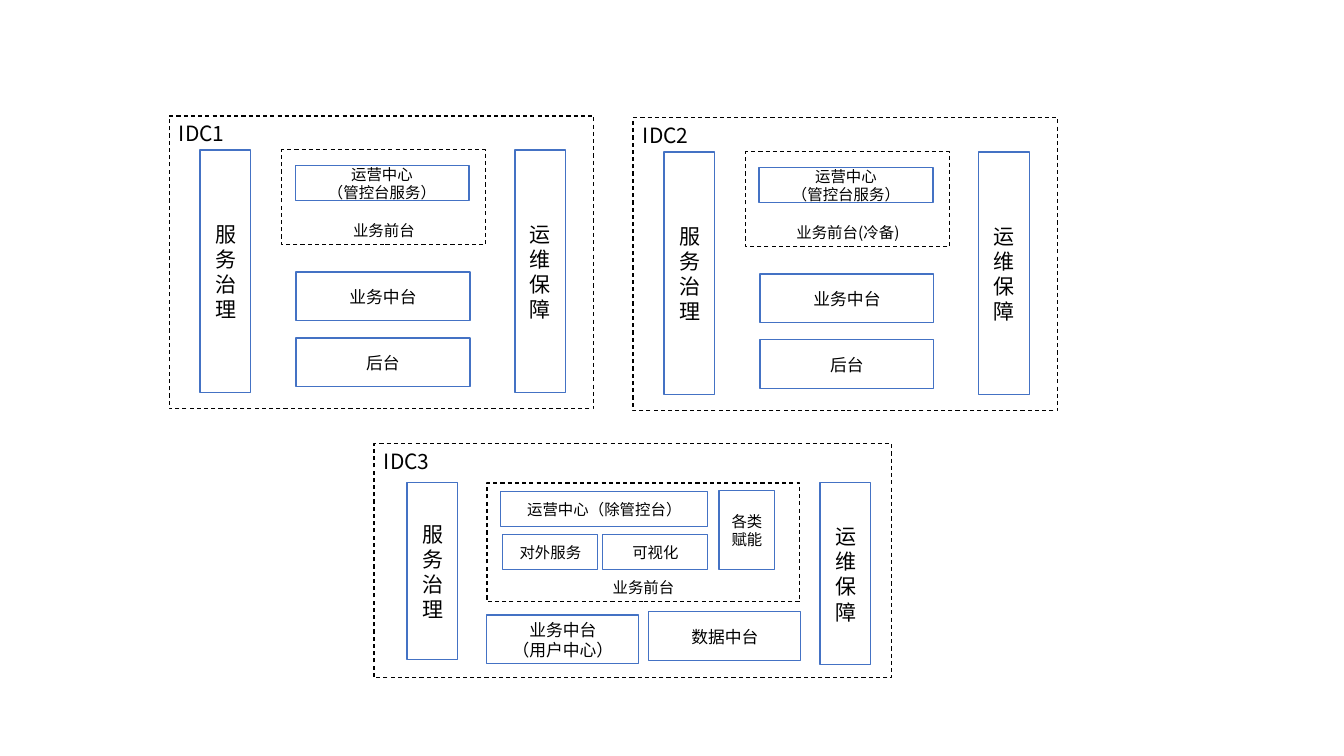
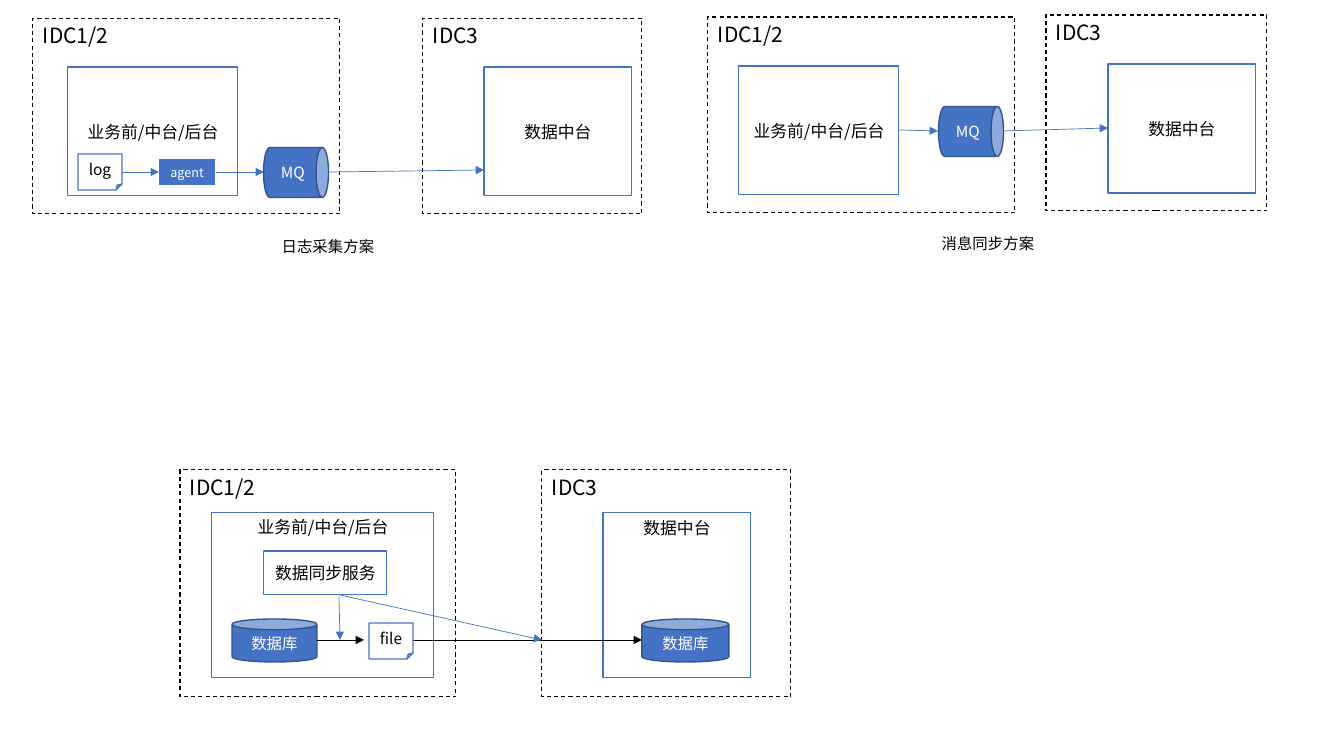
from dataclasses import dataclass

from lxml import etree
from pptx import Presentation
from pptx.dml.color import RGBColor
from pptx.enum.dml import MSO_LINE
from pptx.enum.shapes import MSO_CONNECTOR, MSO_SHAPE
from pptx.enum.text import MSO_ANCHOR, MSO_AUTO_SIZE, PP_ALIGN
from pptx.oxml.ns import qn
from pptx.util import Emu, Pt

RECT = MSO_SHAPE.RECTANGLE
CAN = MSO_SHAPE.CAN
FOLDED = MSO_SHAPE.FOLDED_CORNER
STRAIGHT = MSO_CONNECTOR.STRAIGHT
DASH = MSO_LINE.DASH
TOP, MIDDLE, BOTTOM = MSO_ANCHOR.TOP, MSO_ANCHOR.MIDDLE, MSO_ANCHOR.BOTTOM
LEFT, CENTER = PP_ALIGN.LEFT, PP_ALIGN.CENTER
FIT_TEXT = MSO_AUTO_SIZE.SHAPE_TO_FIT_TEXT

FONT = "Noto Sans CJK SC"
BLACK, WHITE, BLUE, NAVY = "000000", "FFFFFF", "4472C4", "325491"
PIXELS_PER_INCH = 100.8
FRONT_TO_BACK = "业务前/中台/后台"


@dataclass(frozen=True)
class Style:
    size: int
    ink: str = BLACK
    fill: str = ""
    line: str = BLUE
    weight: float = 0.75
    dashed: bool = False
    align: PP_ALIGN = CENTER
    anchor: MSO_ANCHOR = MIDDLE
    preset: MSO_SHAPE = RECT
    sideways: bool = False


ROOM = Style(15, line=BLACK, dashed=True, align=LEFT, anchor=TOP)
ZONE = Style(11, line=BLACK, dashed=True, anchor=BOTTOM)
PILLAR = Style(15)
PLATFORM = Style(12)
HEADED = Style(12, anchor=TOP)
SERVICE = Style(11)
DOCUMENT = Style(11, fill=WHITE, weight=1, preset=FOLDED)
DATABASE = Style(11, WHITE, BLUE, NAVY, 1, preset=CAN)
QUEUE = Style(11, WHITE, BLUE, NAVY, 1, preset=CAN, sideways=True)
AGENT = Style(9, WHITE, BLUE, "")


@dataclass(frozen=True)
class Box:
    text: str
    x: int
    y: int
    w: int
    h: int
    style: Style


@dataclass(frozen=True)
class Arrow:
    x1: int
    y1: int
    x2: int
    y2: int
    color: str = BLUE


@dataclass(frozen=True)
class Caption:
    text: str
    x: int
    y: int


def px(length: float) -> Emu:
    return Emu(round(length * 914400 / PIXELS_PER_INCH))


def rgb(color: str) -> RGBColor:
    return RGBColor.from_string(color)


def write(shape, text: str, size: int, ink: str, align: PP_ALIGN) -> None:
    shape.text_frame.text = text
    for paragraph in shape.text_frame.paragraphs:
        paragraph.alignment = align
        for run in paragraph.runs:
            run.font.size = Pt(size)
            run.font.name = FONT
            run.font.color.rgb = rgb(ink)
    for properties in shape.element.iter(qn("a:rPr")):
        etree.SubElement(properties, qn("a:ea")).set("typeface", FONT)


def draw_box(slide, box: Box, dx: int = 0, dy: int = 0) -> None:
    style = box.style
    shape = slide.shapes.add_shape(
        style.preset, px(box.x + dx), px(box.y + dy), px(box.w), px(box.h))
    shape.shadow.inherit = False
    if style.fill:
        shape.fill.solid()
        shape.fill.fore_color.rgb = rgb(style.fill)
    else:
        shape.fill.background()
    if style.line:
        shape.line.color.rgb = rgb(style.line)
        shape.line.width = Pt(style.weight)
    else:
        shape.line.fill.background()
    if style.dashed:
        shape.line.dash_style = DASH
    shape.text_frame.word_wrap = True
    shape.text_frame.vertical_anchor = style.anchor
    write(shape, box.text, style.size, style.ink, style.align)
    if style.sideways:
        shape.rotation = 90
        shape.element.txBody.bodyPr.set("vert", "vert270")


def draw_arrow(slide, arrow: Arrow) -> None:
    connector = slide.shapes.add_connector(
        STRAIGHT, px(arrow.x1), px(arrow.y1), px(arrow.x2), px(arrow.y2))
    connector.line.color.rgb = rgb(arrow.color)
    connector.line.width = Pt(0.5)
    properties = connector.element.spPr
    outline = properties.find(qn("a:ln"))
    etree.SubElement(outline, qn("a:tailEnd")).set("type", "triangle")
    etree.SubElement(properties, qn("a:effectLst"))


def draw_caption(slide, caption: Caption) -> None:
    label = slide.shapes.add_textbox(
        px(caption.x), px(caption.y), px(114), px(29))
    label.text_frame.word_wrap = False
    label.text_frame.auto_size = FIT_TEXT
    write(label, caption.text, 11, BLACK, CENTER)


def twin_room(name: str, zone: str) -> list[Box]:
    return [
        Box(name, 169, 116, 425, 293, ROOM),
        Box("服务治理", 200, 150, 51, 243, PILLAR),
        Box("运维保障", 515, 150, 51, 243, PILLAR),
        Box(zone, 282, 150, 204, 95, ZONE),
        Box("运营中心\n（管控台服务）", 295, 166, 174, 35, SERVICE),
        Box("业务中台", 296, 272, 174, 49, PLATFORM),
        Box("后台", 296, 338, 174, 49, PLATFORM),
    ]


THIRD_ROOM = [
    Box("IDC3", 374, 444, 518, 234, ROOM),
    Box("服务治理", 407, 483, 51, 177, PILLAR),
    Box("运维保障", 820, 483, 51, 182, PILLAR),
    Box("业务前台", 487, 483, 313, 119, ZONE),
    Box("运营中心（除管控台）", 501, 492, 207, 35, SERVICE),
    Box("对外服务", 503, 535, 95, 35, SERVICE),
    Box("可视化", 603, 535, 105, 35, SERVICE),
    Box("各类赋能", 719, 491, 56, 79, SERVICE),
    Box("业务中台\n（用户中心）", 487, 615, 152, 49, PLATFORM),
    Box("数据中台", 649, 612, 152, 49, PLATFORM),
]

LOG_COLLECTION = [
    Box("IDC1/2", 33, 18, 307, 196, ROOM),
    Box(FRONT_TO_BACK, 68, 67, 170, 129, PLATFORM),
    Box("IDC3", 423, 18, 219, 196, ROOM),
    Box("数据中台", 484, 67, 148, 129, PLATFORM),
    Box("log", 78, 154, 44, 36, DOCUMENT),
    Box("agent", 159, 159, 56, 26, AGENT),
    Box("MQ", 271, 140, 50, 65, QUEUE),
    Arrow(122, 172, 159, 172),
    Arrow(216, 172, 264, 172),
    Arrow(329, 172, 484, 170),
    Caption("日志采集方案", 271, 232),
]

MESSAGE_SYNC = [
    Box("IDC1/2", 708, 17, 307, 196, ROOM),
    Box(FRONT_TO_BACK, 739, 66, 160, 129, PLATFORM),
    Box("IDC3", 1046, 15, 221, 196, ROOM),
    Box("数据中台", 1108, 64, 148, 129, PLATFORM),
    Box("MQ", 946, 99, 50, 65, QUEUE),
    Arrow(899, 130, 938, 131),
    Arrow(1003, 131, 1108, 128),
    Caption("消息同步方案", 931, 229),
]

DATABASE_SYNC = [
    Box("IDC1/2", 180, 470, 276, 227, ROOM),
    Box(FRONT_TO_BACK, 212, 512, 222, 166, HEADED),
    Box("IDC3", 542, 470, 249, 227, ROOM),
    Box("数据中台", 603, 513, 148, 165, HEADED),
    Arrow(413, 640, 642, 640, BLACK),
    Box("数据库", 232, 619, 85, 43, DATABASE),
    Box("file", 369, 623, 44, 36, DOCUMENT),
    Box("数据库", 642, 619, 87, 43, DATABASE),
    Arrow(317, 640, 364, 640, BLACK),
    Box("数据同步服务", 264, 551, 123, 44, PLATFORM),
    Arrow(339, 596, 340, 640),
    Arrow(340, 595, 542, 640),
]


def draw(slide, parts: list) -> None:
    for part in parts:
        if isinstance(part, Box):
            draw_box(slide, part)
        elif isinstance(part, Arrow):
            draw_arrow(slide, part)
        else:
            draw_caption(slide, part)


deck = Presentation()
deck.slide_width, deck.slide_height = px(1344), px(756)
blank = deck.slide_layouts[6]

rooms = deck.slides.add_slide(blank)
for name, zone, dx, dy in (("IDC1", "业务前台", 0, 0),
                           ("IDC2", "业务前台(冷备)", 464, 2)):
    for box in twin_room(name, zone):
        draw_box(rooms, box, dx, dy)
draw(rooms, THIRD_ROOM)

schemes = deck.slides.add_slide(blank)
for scheme in (LOG_COLLECTION, MESSAGE_SYNC, DATABASE_SYNC):
    draw(schemes, scheme)

deck.save("out.pptx")
